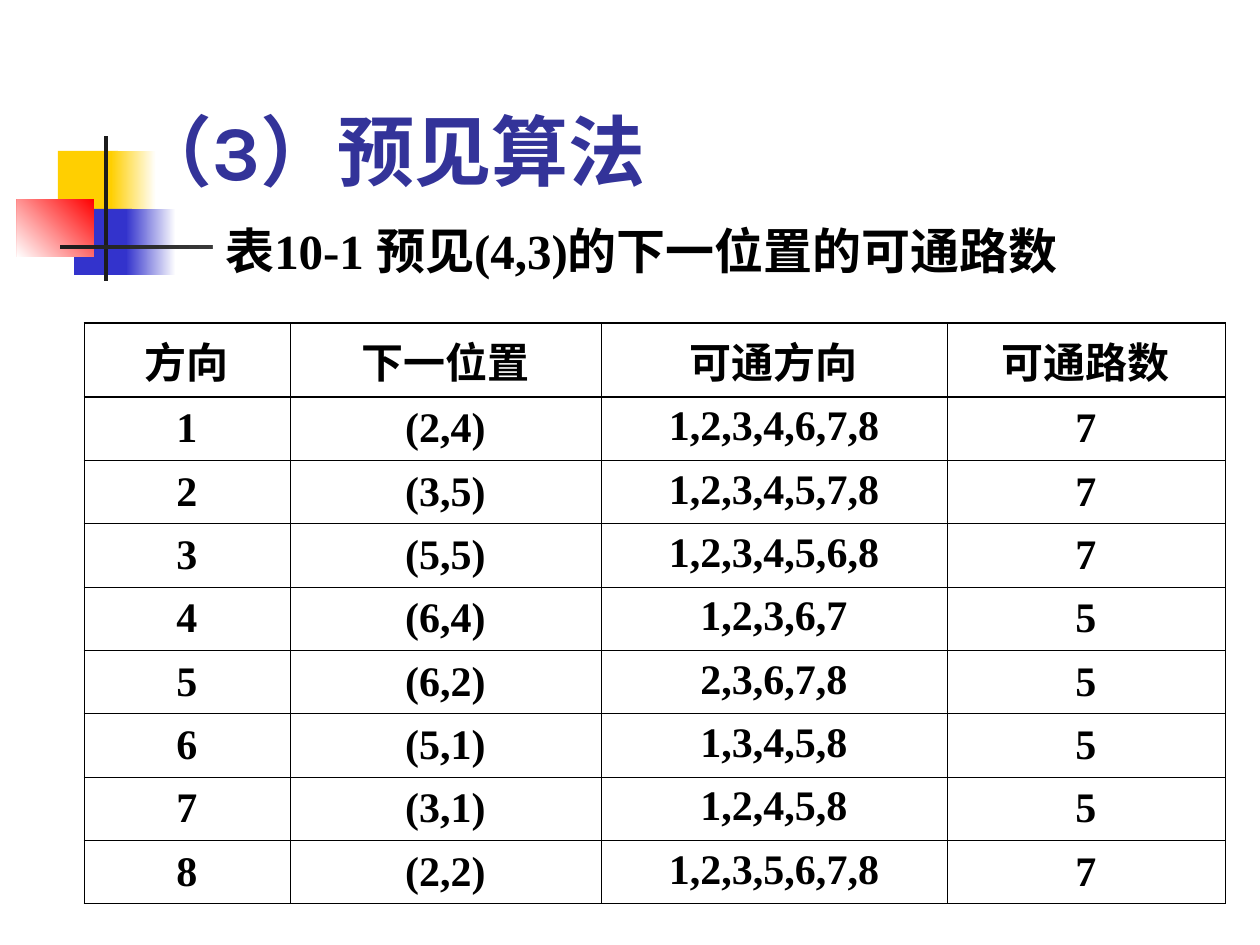
from lxml.etree import SubElement
from pptx import Presentation
from pptx.dml.color import RGBColor
from pptx.enum.shapes import MSO_SHAPE
from pptx.enum.text import MSO_ANCHOR, PP_ALIGN
from pptx.oxml.ns import qn
from pptx.util import Emu, Inches, Pt

PX_PER_INCH = 126
SERIF = "Times New Roman"
BLACK = "000000"
WHITE = "FFFFFF"
ROWS = [
    ("方向", "下一位置", "可通方向", "可通路数"),
    ("1", "(2,4)", "1,2,3,4,6,7,8", "7"),
    ("2", "(3,5)", "1,2,3,4,5,7,8", "7"),
    ("3", "(5,5)", "1,2,3,4,5,6,8", "7"),
    ("4", "(6,4)", "1,2,3,6,7", "5"),
    ("5", "(6,2)", "2,3,6,7,8", "5"),
    ("6", "(5,1)", "1,3,4,5,8", "5"),
    ("7", "(3,1)", "1,2,4,5,8", "5"),
    ("8", "(2,2)", "1,2,3,5,6,7,8", "7"),
]


def px(length):
    """Turn px into EMU."""
    return Emu(round(length * Inches(1) / PX_PER_INCH))


def color(code):
    """Turn a hex string into a colour."""
    return RGBColor.from_string(code)


def add_span(para, text, size, font, code):
    """Add one bold run to a paragraph."""
    span = para.add_run()
    span.text = text
    span.font.size = Pt(size)
    span.font.name = font
    span.font.bold = True
    span.font.color.rgb = color(code)


def add_block(page, box, start, end=None, angle=0):
    """Draw a borderless rectangle, plain or with a clockwise gradient angle."""
    block = page.shapes.add_shape(MSO_SHAPE.RECTANGLE, *map(px, box))
    block.shadow.inherit = False
    block.line.fill.background()
    if end is None:
        block.fill.solid()
        block.fill.fore_color.rgb = color(start)
        return
    block.fill.gradient()
    block.fill.gradient_angle = 360 - angle
    for stop, code, position in zip(block.fill.gradient_stops, (start, end), (0, 1)):
        stop.color.rgb = color(code)
        stop.position = position


def draw_ornament(page, box):
    """Draw the overlapping colour blocks and the crossing bars."""
    left, top, width, height = box
    yellow, blue, red, dark = "FFCF01", "3333CC", "FF0000", "1C1C1C"
    parts = [
        (41, 15, 60, 66, yellow),
        (94, 15, 45, 66, WHITE, yellow, 180),
        (57, 73, 58, 66, blue),
        (109, 73, 50, 66, WHITE, blue, 180),
        (0, 63, 77, 58, red, WHITE, 135),
        (87, 0, 4, height, dark),
        (43, 109, width - 43, 4, WHITE, dark, 180),
    ]
    for x, y, wide, high, *paint in parts:
        add_block(page, (left + x, top + y, wide, high), *paint)


def add_heading(page, box, text, size, font, code, anchor, fill=None):
    """Place one line of bold text in a box."""
    heading = page.shapes.add_textbox(*map(px, box))
    if fill:
        heading.fill.solid()
        heading.fill.fore_color.rgb = color(fill)
    frame = heading.text_frame
    frame.word_wrap = True
    frame.vertical_anchor = anchor
    add_span(frame.paragraphs[0], text, size, font, code)


def set_borders(cell, widths):
    """Set the left, right, top and bottom borders of a cell in points."""
    properties = cell._tc.get_or_add_tcPr()
    for side, width in zip("LRTB", widths):
        line = SubElement(properties, qn(f"a:ln{side}"), w=str(Pt(width)))
        paint = SubElement(line, qn("a:solidFill"))
        SubElement(paint, qn("a:srgbClr"), val=BLACK)


def add_path_table(page, box, column_widths, header_height):
    """Place the table of next positions and their open paths."""
    rows, columns = len(ROWS), len(column_widths)
    table = page.shapes.add_table(rows, columns, *map(px, box)).table
    table.first_row = table.horz_banding = False
    for column, width in zip(table.columns, column_widths):
        column.width = px(width)
    body_height = (box[3] - header_height) / (rows - 1)
    for r, texts in enumerate(ROWS):
        table.rows[r].height = px(body_height if r else header_height)
        for c, text in enumerate(texts):
            cell = table.cell(r, c)
            set_borders(cell, (
                0.34 if c == 0 else 0.45,
                0.34 if c == columns - 1 else 0.45,
                0.96 if r <= 1 else 0.45,
                0.96 if r in (0, rows - 1) else 0.45,
            ))
            cell.fill.background()
            cell.vertical_anchor = MSO_ANCHOR.TOP if c == 2 else MSO_ANCHOR.MIDDLE
            para = cell.text_frame.paragraphs[0]
            para.alignment = PP_ALIGN.CENTER
            add_span(para, text, 24, SERIF, BLACK)


def main():
    """Build the slide and save the deck."""
    deck = Presentation()
    deck.slide_width, deck.slide_height = px(1260), px(945)
    page = deck.slides.add_slide(deck.slide_layouts[6])
    draw_ornament(page, (17, 136, 1177, 145))
    add_heading(page, (123, 86, 605, 116), "（3）预见算法", 44, "Karla", "333399",
                MSO_ANCHOR.BOTTOM)
    add_heading(page, (213, 214, 973, 89), "表10-1 预见(4,3)的下一位置的可通路数",
                28, SERIF, BLACK, MSO_ANCHOR.TOP, WHITE)
    add_path_table(page, (84, 323, 1141, 581), (206, 311, 346, 278), 74)
    deck.save("out.pptx")


if __name__ == "__main__":
    main()
